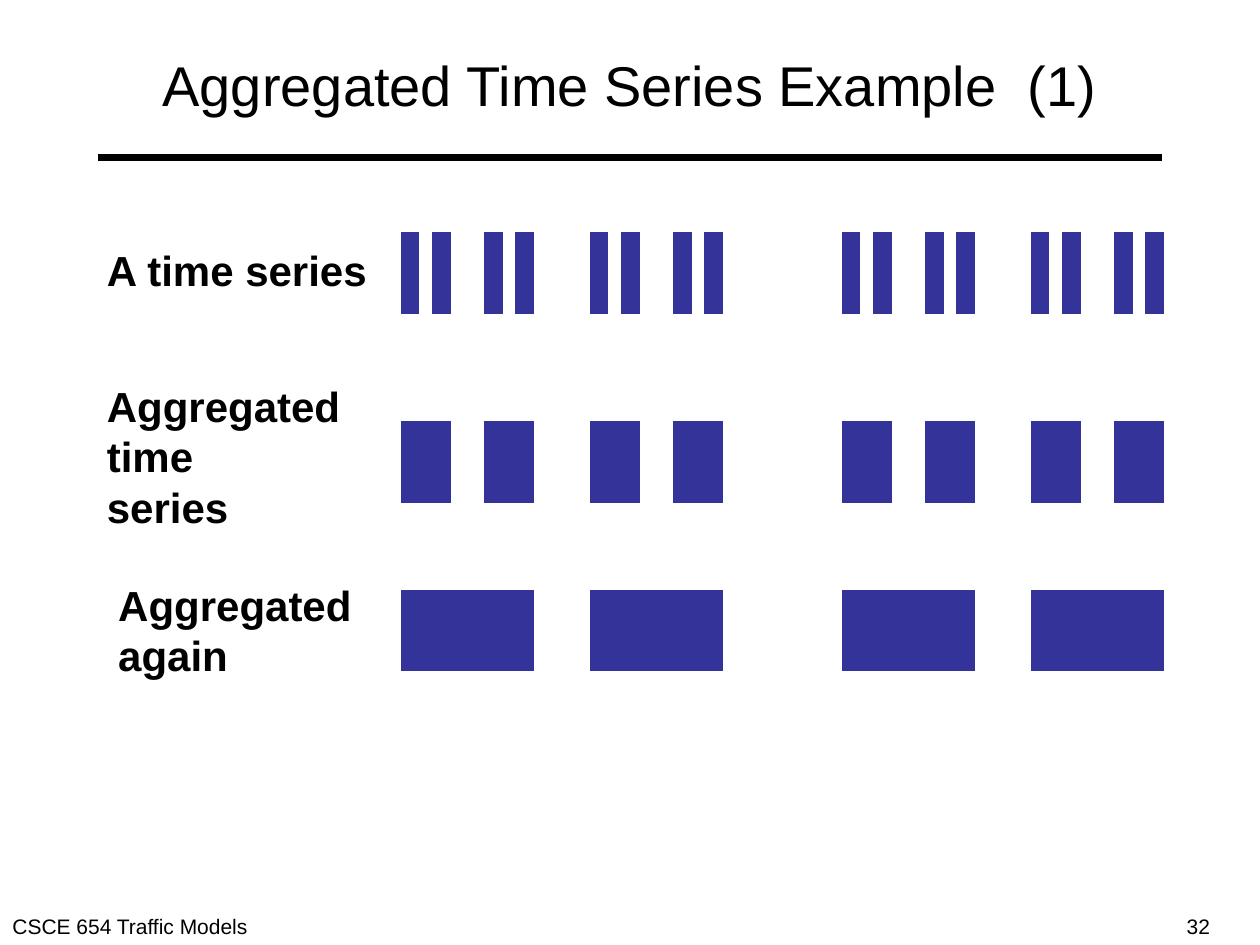
import itertools

import pptx
import pptx.dml.color
import pptx.enum.shapes
import pptx.enum.text
import pptx.oxml.ns
import pptx.util
from lxml import etree

Inches = pptx.util.Inches
Pt = pptx.util.Pt
RGBColor = pptx.dml.color.RGBColor

THEME = {
    "font": "Arial",
    "text": RGBColor.from_string("000000"),
    "bar": RGBColor.from_string("333399"),
    "outline": RGBColor.from_string("FFFFFF"),
    "title_size": Pt(32),
    "label_size": Pt(24),
    "footer_size": Pt(12),
}


def write_lines(box, lines, size, bold=False):
    """Fill a shape with one paragraph per line in the theme font."""
    box.text_frame.text = "\n".join(lines)
    font_format = {"name": THEME["font"], "size": size, "bold": bold}
    for para in box.text_frame.paragraphs:
        for span in para.runs:
            for name, value in font_format.items():
                setattr(span.font, name, value)
            span.font.color.rgb = THEME["text"]


def add_label(shapes, place, lines, size, bold=False):
    """Add an unwrapped text box that grows with its text."""
    box = shapes.add_textbox(*map(Inches, place))
    box.text_frame.word_wrap = False
    box.text_frame.auto_size = pptx.enum.text.MSO_AUTO_SIZE.SHAPE_TO_FIT_TEXT
    write_lines(box, lines, size, bold)


deck = pptx.Presentation()
deck.slide_width = Inches(10)
deck.slide_height = Inches(7.5)
page = deck.slides.add_slide(deck.slide_layouts[5])

# Title and rule
title = page.shapes.title
title_place = {"left": 0.5, "top": 0.17, "width": 9, "height": 1}
for name, value in title_place.items():
    setattr(title, name, Inches(value))
write_lines(title, ["Aggregated Time Series Example  (1)"], THEME["title_size"])
title.text_frame.auto_size = pptx.enum.text.MSO_AUTO_SIZE.NONE
title.text_frame.vertical_anchor = pptx.enum.text.MSO_ANCHOR.MIDDLE
title.text_frame.paragraphs[0].alignment = pptx.enum.text.PP_ALIGN.CENTER

rule = page.shapes.add_connector(
    pptx.enum.shapes.MSO_CONNECTOR.STRAIGHT,
    Inches(0.78), Inches(1.25), Inches(9.22), Inches(1.25),
)
rule.line.color.rgb = THEME["text"]
rule.line.width = Pt(4.5)
etree.SubElement(rule._element.spPr, pptx.oxml.ns.qn("a:effectLst"))

# Footer
footers = [
    ((0, 7.2, 2.08, 0.3), "CSCE 654 Traffic Models"),
    ((9.32, 7.2, 0.96, 0.3), "32"),
]
for place, text in footers:
    add_label(page.shapes, place, [text], THEME["footer_size"])

# Each series splits the span in two once more per level of detail
SERIES_LEFT = 3.17
BAR_HEIGHT = 0.67
SPLIT_OFFSETS = [(0, 3.5), (0, 1.5), (0, 0.66), (0, 0.25)]

series_rows = [
    # label place, label lines, bar top, bar width, number of splits
    ((0.75, 1.89, 2.27, 0.5), ["A time series"], 1.83, 0.17, 4),
    ((0.75, 2.97, 2.14, 1.3), ["Aggregated", "time", "series"], 3.33, 0.42, 3),
    ((0.84, 4.55, 2.14, 0.9), ["Aggregated", "again"], 4.67, 1.08, 2),
]
for place, lines, top, width, splits in series_rows:
    group = page.shapes.add_group_shape()
    add_label(group.shapes, place, lines, THEME["label_size"], bold=True)
    for offsets in itertools.product(*SPLIT_OFFSETS[:splits]):
        bar = group.shapes.add_shape(
            pptx.enum.shapes.MSO_SHAPE.RECTANGLE,
            Inches(SERIES_LEFT + sum(offsets)), Inches(top),
            Inches(width), Inches(BAR_HEIGHT),
        )
        bar.shadow.inherit = False
        bar.fill.solid()
        bar.fill.fore_color.rgb = THEME["bar"]
        bar.line.color.rgb = THEME["outline"]
        bar.line.width = Pt(1.5)

deck.save("out.pptx")
